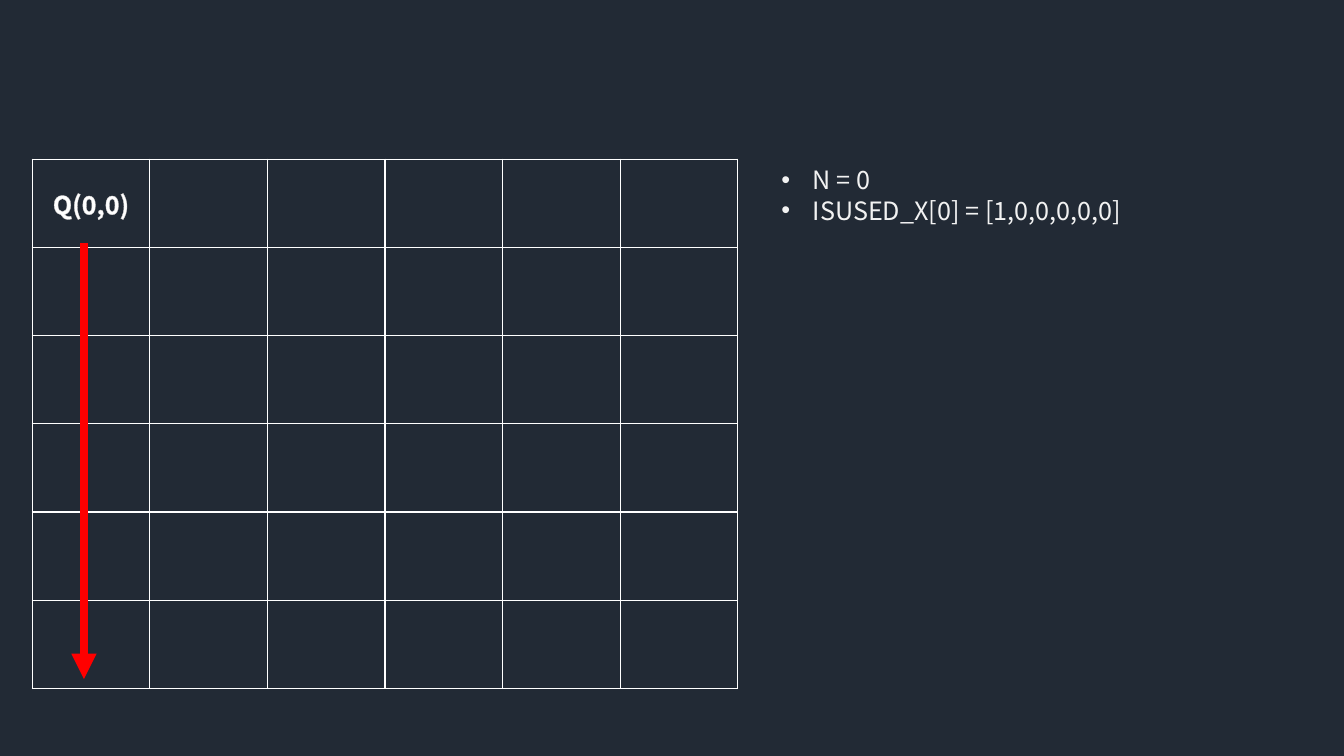
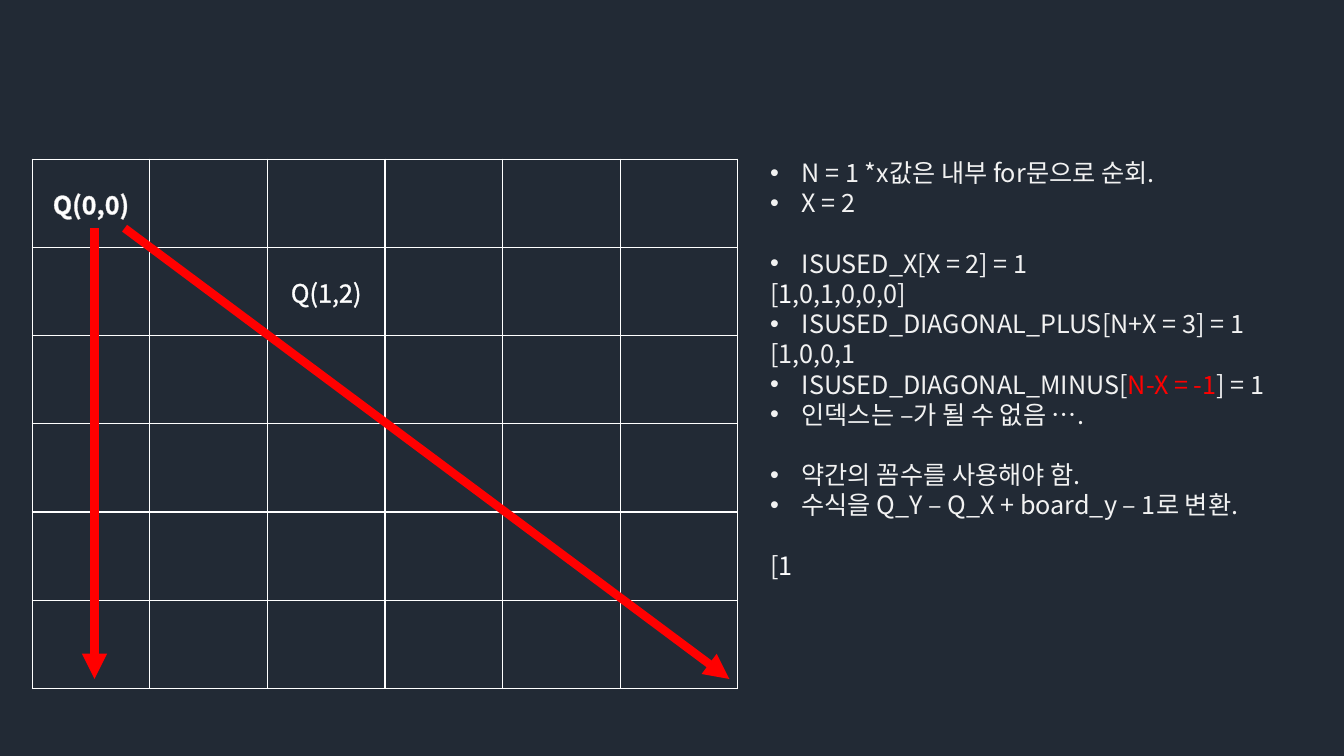
from dataclasses import dataclass

from lxml import etree
from pptx import Presentation
from pptx import util as u
from pptx.dml.color import RGBColor
from pptx.enum import shapes, text
from pptx.oxml import ns


@dataclass(frozen=True)
class Theme:
    background: str = "222A35"
    white: str = "FFFFFF"
    body: str = "F2F2F2"
    queen_edge: str = "D0CECE"
    red: str = "FF0000"
    font: str = "Noto Sans CJK KR"
    size: float = 18
    line_pitch: float = 21.6
    bullet_indent: float = 22.5
    grid_line: float = 1
    text_edge: float = 0.75
    arrow_line: float = 6


THEME = Theme()
BOARD_SIZE = 6
BOARD_BOX = (23, 113.8, 504, 378)
ARROW_END = 485


def sub(parent, tag, **attrs):
    return etree.SubElement(parent, ns.qn(tag), attrs)


def solid_line(parent, tag, color, width):
    ln = sub(parent, tag, w=str(int(u.Pt(width))))
    sub(sub(ln, "a:solidFill"), "a:srgbClr", val=color)
    return ln


def add_text(p, content, color=THEME.body, bold=False, edge=None):
    r = p.add_run()
    r.text = content
    r.font.size = u.Pt(THEME.size)
    r.font.bold = bold
    r.font.name = THEME.font
    r.font.color.rgb = RGBColor.from_string(color)
    props = r.font._element
    sub(props, "a:ea", typeface=THEME.font)
    if edge:
        props.insert(0, solid_line(props, "a:ln", edge, THEME.text_edge))


def add_board(slide, box, queens):
    left, top, width, height = box
    table = slide.shapes.add_table(
        BOARD_SIZE, BOARD_SIZE, *(u.Pt(v) for v in box)
    ).table
    table.first_row = table.horz_banding = False
    for column in table.columns:
        column.width = u.Pt(width / BOARD_SIZE)
    for row in table.rows:
        row.height = u.Pt(height / BOARD_SIZE)
    for cell in table.iter_cells():
        cell.vertical_anchor = text.MSO_ANCHOR.MIDDLE
        props = cell._tc.get_or_add_tcPr()
        for side in ("a:lnL", "a:lnR", "a:lnT", "a:lnB"):
            solid_line(props, side, THEME.white, THEME.grid_line)
        cell.fill.background()
    for (y, x), fmt in queens.items():
        p = table.cell(y, x).text_frame.paragraphs[0]
        p.alignment = text.PP_ALIGN.CENTER
        add_text(p, f"Q({y},{x})", color=THEME.white, **fmt)


def add_notes(slide, box, notes):
    sp = slide.shapes.add_textbox(*(u.Pt(v) for v in box))
    tf = sp.text_frame
    tf.word_wrap = True
    tf.auto_size = text.MSO_AUTO_SIZE.SHAPE_TO_FIT_TEXT
    for i, (runs, bullet, gap) in enumerate(notes):
        p = tf.add_paragraph() if i else tf.paragraphs[0]
        p.line_spacing = u.Pt(THEME.line_pitch)
        p.space_before = u.Pt(THEME.line_pitch if gap else 0)
        if bullet:
            props = p._p.get_or_add_pPr()
            indent = int(u.Pt(THEME.bullet_indent))
            props.set("marL", str(indent))
            props.set("indent", str(-indent))
            sub(props, "a:buFont", typeface="Arial")
            sub(props, "a:buChar", char="•")
        for content, color in runs:
            add_text(p, content, color=color)


def add_arrow(slide, start, end):
    line = slide.shapes.add_connector(
        shapes.MSO_CONNECTOR.STRAIGHT, *(u.Pt(v) for v in start + end)
    )
    line.line.color.rgb = RGBColor.from_string(THEME.red)
    line.line.width = u.Pt(THEME.arrow_line)
    sub(line.line._get_or_add_ln(), "a:tailEnd", type="triangle")
    sub(line._element.spPr, "a:effectLst")


def note(*parts, bullet=True, gap=False):
    runs = [(part, THEME.body) if isinstance(part, str) else part for part in parts]
    return runs, bullet, gap


def add_board_slide(prs, queens, notes_box, notes, arrows):
    slide = prs.slides.add_slide(prs.slide_layouts.get_by_name("Blank"))
    add_board(slide, BOARD_BOX, queens)
    add_notes(slide, notes_box, notes)
    for start, end in arrows:
        add_arrow(slide, start, end)


def main():
    prs = Presentation()
    prs.slide_width, prs.slide_height = u.Pt(960), u.Pt(540)
    fill = prs.slide_master.background.fill
    fill.solid()
    fill.fore_color.rgb = RGBColor.from_string(THEME.background)

    first_queen = {(0, 0): dict(bold=True, edge=THEME.queen_edge)}
    second_queen = {(1, 2): dict(edge=THEME.body)}

    add_board_slide(
        prs,
        first_queen,
        (551, 114, 362, 73),
        [note("N = 0"), note("ISUSED_X[0] = [1,0,0,0,0,0]")],
        [((60, 173.5), (60, ARROW_END))],
    )
    add_board_slide(
        prs,
        first_queen | second_queen,
        (543, 108.7, 383, 334),
        [
            note("N = 1 *x값은 내부 for문으로 순회."),
            note("X = 2"),
            note("ISUSED_X[X = 2] = 1", gap=True),
            note("[", ("1", THEME.white), ",0,1,0,0,0]", bullet=False),
            note("ISUSED_DIAGONAL_PLUS[N+X = 3] = 1"),
            note("[1,0,0,1", bullet=False),
            note("ISUSED_DIAGONAL_MINUS[", ("N-X = -1", THEME.red), "] = 1"),
            note("인덱스는 –가 될 수 없음 …."),
            note("약간의 꼼수를 사용해야 함.", gap=True),
            note("수식을 Q_Y – Q_X + board_y – 1로 변환."),
            note("[", ("1", THEME.white), bullet=False, gap=True),
        ],
        [((67.5, 163), (67.5, ARROW_END)), ((89, 163), (521, ARROW_END))],
    )
    prs.save("out.pptx")


if __name__ == "__main__":
    main()
